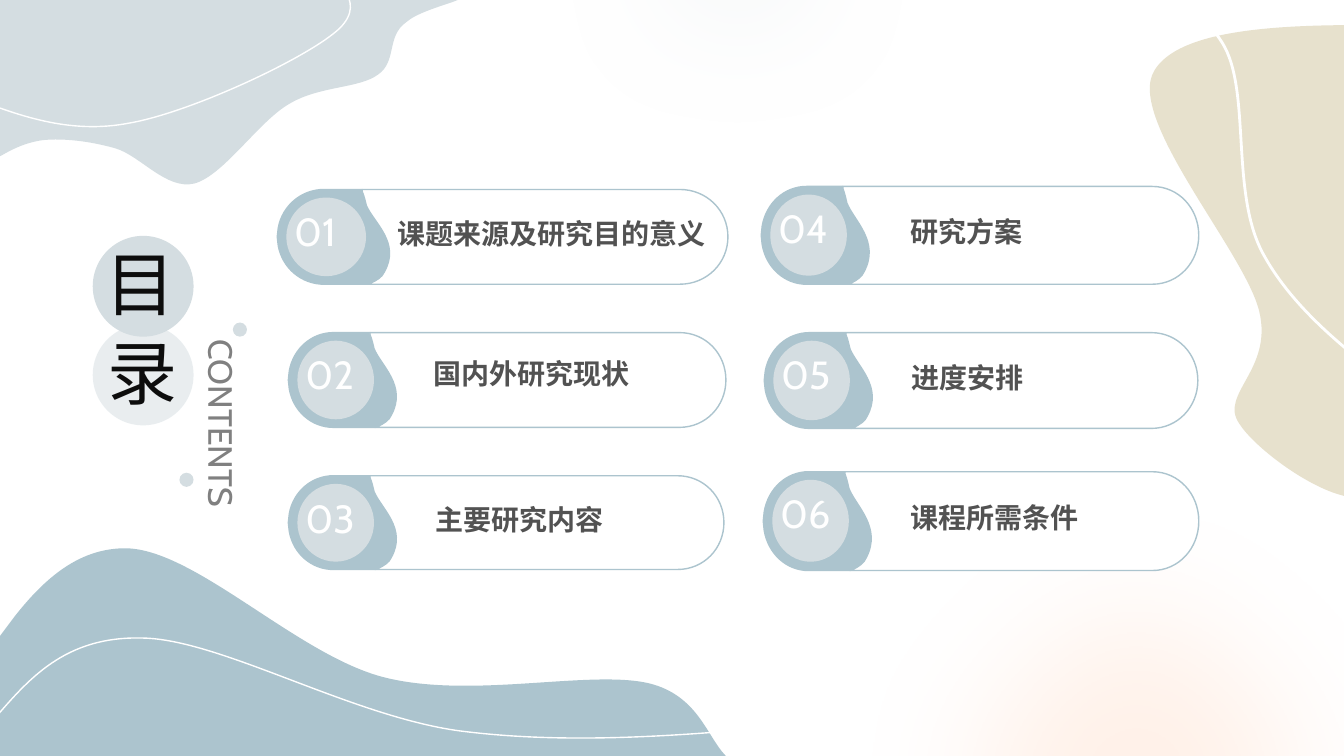
from lxml.etree import SubElement
from pptx import Presentation
from pptx.dml.color import RGBColor
from pptx.enum.shapes import MSO_SHAPE
from pptx.enum.text import MSO_AUTO_SIZE, PP_ALIGN
from pptx.oxml.ns import qn
from pptx.util import Inches, Pt

CELL = Inches(1)  # the grid has square cells; lengths count them

WHITE = RGBColor(0xFF, 0xFF, 0xFF)
MIST = RGBColor(0xD4, 0xDD, 0xE1)
BLUE = RGBColor(0xAC, 0xC4, 0xCE)
SAND = RGBColor(0xE7, 0xE1, 0xCD)
PEACH = RGBColor(0xFF, 0xB6, 0x81)
BLACK = RGBColor(0x0D, 0x0D, 0x0D)
DARK = RGBColor(0x52, 0x52, 0x52)
GREY = RGBColor(0x80, 0x80, 0x80)
LATIN, HAN = "Cabin", "Noto Sans CJK SC"

deck = Presentation()
deck.slide_width, deck.slide_height = int(13.33 * CELL), int(7.5 * CELL)
slide = deck.slides.add_slide(deck.slide_layouts[6])
slide.background.fill.solid()
slide.background.fill.fore_color.rgb = WHITE


def draw(host, oval=None, path=None, fill=None, line=None, width=1, alpha=None, soft=None):
    """Draw an oval (left, top, width, height) or a path of points and 6-number curves."""
    if oval:
        shape = host.add_shape(MSO_SHAPE.OVAL, *[int(n * CELL) for n in oval])
    else:
        dots = [(int(step[i] * CELL), int(step[i + 1] * CELL))
                for step in path for i in range(0, len(step), 2)]
        pen = host.build_freeform(*dots[0])
        pen.add_line_segments(dots[1:], close=fill is not None)
        shape = pen.convert_to_shape()
        # Turn each run of three corners that stands for a curve into a Bézier
        marks = iter(list(shape._element.iter(qn("a:lnTo"))))
        for step in path[1:]:
            mark = next(marks)
            if len(step) == 6:
                curve = mark.makeelement(qn("a:cubicBezTo"))
                mark.addprevious(curve)
                for corner in (mark, next(marks), next(marks)):
                    curve.append(corner[0])
                    corner.getparent().remove(corner)
    shape.shadow.inherit = False
    if fill is None:
        shape.fill.background()
    else:
        shape.fill.solid()
        shape.fill.fore_color.rgb = fill
    if line is None:
        shape.line.fill.background()
    else:
        shape.line.color.rgb = line
        shape.line.width = Pt(width)
    props = shape._element.spPr
    if alpha:
        tint = props.find(qn("a:solidFill")).find(qn("a:srgbClr"))
        SubElement(tint, qn("a:alpha")).set("val", str(alpha * 1000))
    if soft:
        glow = SubElement(props.find(qn("a:effectLst")), qn("a:softEdge"))
        glow.set("rad", str(int(Pt(soft))))


def write(host, text, box, size=20, color=DARK, font=LATIN, bold=False, wrap=False, vert=None):
    """Put text in a box (left, top, width, height)."""
    frame = host.add_textbox(*[int(n * CELL) for n in box]).text_frame
    frame.word_wrap = wrap
    frame.auto_size = MSO_AUTO_SIZE.SHAPE_TO_FIT_TEXT
    if vert:
        frame._txBody.bodyPr.set("vert", vert)
    line = frame.paragraphs[0]
    line.alignment = PP_ALIGN.LEFT
    run = line.add_run()
    run.text = text
    run.font.size, run.font.bold = Pt(size), bold
    run.font.name, run.font.color.rgb = font, color
    SubElement(run._r.rPr, qn("a:ea")).set("typeface", HAN)


# Soft spots and title discs
art = slide.shapes
for oval, fill, alpha, soft in [
    ((0.61, 2.95, 3.53, 3.53), SAND, 33, 100),
    ((0.92, 3.22, 1, 1), MIST, 51, None),
    ((0.92, 2.34, 1, 1), MIST, None, None),
    ((4.83, -2.94, 4.96, 4.96), MIST, 41, 100),
    ((7.9, 4.33, 6.75, 6.75), PEACH, 18, 100),
]:
    draw(art, oval=oval, fill=fill, alpha=alpha, soft=soft)

# Corner blobs
for fill, path in [
    (SAND, [(13.33, 0.25), (13.33, 4.92), (13.26, 4.9),
            (12.89, 4.78, 12.42, 4.41, 12.29, 4.2), (12.09, 3.91, 12.63, 3.67, 12.49, 3.09),
            (12.35, 2.5, 11.16, 1.17, 11.45, 0.7), (11.66, 0.35, 12.41, 0.26, 13.29, 0.25)]),
    (BLUE, [(1.22, 5.44), (1.91, 5.42, 2.94, 6.5, 3.81, 6.72),
            (4.68, 6.94, 5.85, 6.64, 6.44, 6.78), (6.92, 6.9, 7.01, 7.3, 7.19, 7.49),
            (7.22, 7.52), (0, 7.52), (0, 6.31), (0.15, 6.11),
            (0.45, 5.73, 0.78, 5.45, 1.22, 5.44)]),
    (MIST, [(0, 0), (4.54, 0), (4.49, 0.02), (4.31, 0.08, 4.12, 0.14, 4.03, 0.22),
            (3.83, 0.36, 3.94, 0.61, 3.75, 0.74), (3.56, 0.88, 3.17, 0.85, 2.87, 1.03),
            (2.57, 1.2, 2.22, 1.74, 1.93, 1.82), (1.65, 1.89, 1.39, 1.54, 1.14, 1.47),
            (0.89, 1.4, 0.63, 1.37, 0.43, 1.39), (0.27, 1.41, 0.14, 1.47, 0.02, 1.54),
            (0, 1.55)]),
]:
    draw(art, path=path, fill=fill)

# White waves over the blobs
for width, path in [
    (1, [(-0.33, 0.95), (0.17, 1.14, 0.68, 1.34, 1.29, 1.22),
         (1.91, 1.11, 3.08, 0.56, 3.37, 0.28), (3.65, 0, 3.32, -0.23, 2.99, -0.46)]),
    (1, [(-0.08, 7.16), (0.28, 6.74, 0.64, 6.31, 1.41, 6.33),
         (2.18, 6.34, 3.47, 7.1, 4.55, 7.25), (5.63, 7.39, 6.74, 7.3, 7.86, 7.2)]),
    (2, [(10.78, -0.25), (11.3, -0.15, 11.83, -0.04, 12.12, 0.42),
         (12.42, 0.89, 12.19, 1.93, 12.54, 2.54), (12.88, 3.15, 13.53, 3.62, 14.18, 4.09)]),
]:
    draw(art, path=path, line=WHITE, width=width)

# Title
write(art, "目", (0.95, 2.34, 0.9, 0.94), size=50, color=BLACK, font=HAN)
write(art, "录", (0.97, 3.22, 0.9, 0.94), size=50, color=BLACK, font=HAN)
write(art, "CONTENTS", (1.84, 3.27, 0.61, 1.81), size=24, color=GREY, vert="eaVert")
for x, y in [(1.78, 4.69), (2.31, 3.2)]:
    draw(art, oval=(x, y, 0.14, 0.14), fill=MIST)

# Six items: left, top, width, height, stretch of the tab, then text and its place
items = [
    (2.75, 1.88, 4.47, 0.94, 1.04, "课题来源及研究目的意义", 3.84, 2.1, 4.24),
    (2.86, 3.3, 4.34, 0.94, 1, "国内外研究现状", 4.2, 3.49, 2.76),
    (2.86, 4.72, 4.32, 0.93, 1, "主要研究内容", 4.22, 4.94, 2.75),
    (7.55, 1.85, 4.34, 0.97, 1, "研究方案", 8.93, 2.08, 2.76),
    (7.58, 3.3, 4.3, 0.95, 1, "进度安排", 8.94, 3.53, 2.74),
    (7.57, 4.68, 4.32, 0.98, 1, "课程所需条件", 8.93, 4.92, 2.75),
]
for num, (x, y, w, h, k, text, tx, ty, tw) in enumerate(items, 1):
    end = w / k
    tab = [(0.45, 0), (0.81, 0), (0.81, 0.02), (0.83, 0.07, 0.84, 0.12, 0.85, 0.16),
           (0.92, 0.33, 1.18, 0.53, 1.02, 0.82), (1, 0.87, 0.95, 0.9, 0.89, 0.93),
           (0.86, 0.94), (0.45, 0.94), (0.23, 0.94, 0.05, 0.78, 0.01, 0.56),
           (0, 0.47), (0.01, 0.38), (0.05, 0.16, 0.23, 0, 0.45, 0)]
    body = [(0.81, 0), (end - 0.46, 0), (end - 0.2, 0, end, 0.21, end, 0.47),
            (end, 0.73, end - 0.2, 0.94, end - 0.46, 0.94), (0.86, 0.94), (0.89, 0.93),
            (0.95, 0.9, 1, 0.87, 1.02, 0.82), (1.18, 0.53, 0.92, 0.33, 0.85, 0.16),
            (0.84, 0.12, 0.83, 0.07, 0.81, 0.02)]
    group = art.add_group_shape().shapes
    for path, fill in [(tab, BLUE), (body, WHITE)]:
        spots = [tuple(y + n * h / 0.94 if i % 2 else x + n * k for i, n in enumerate(step))
                 for step in path]
        draw(group, path=spots, fill=fill, line=BLUE)
    write(group, text, (tx, ty, tw, 0.52), bold=True, wrap=True)
    draw(group, oval=(x + 0.09, y + 0.08, 0.76 * k, 0.83 * h), fill=MIST)
    write(group, f"{num:02}", (x + 0.07, y + 0.13, 0.8, 0.67), size=28, color=WHITE)

deck.save("out.pptx")
